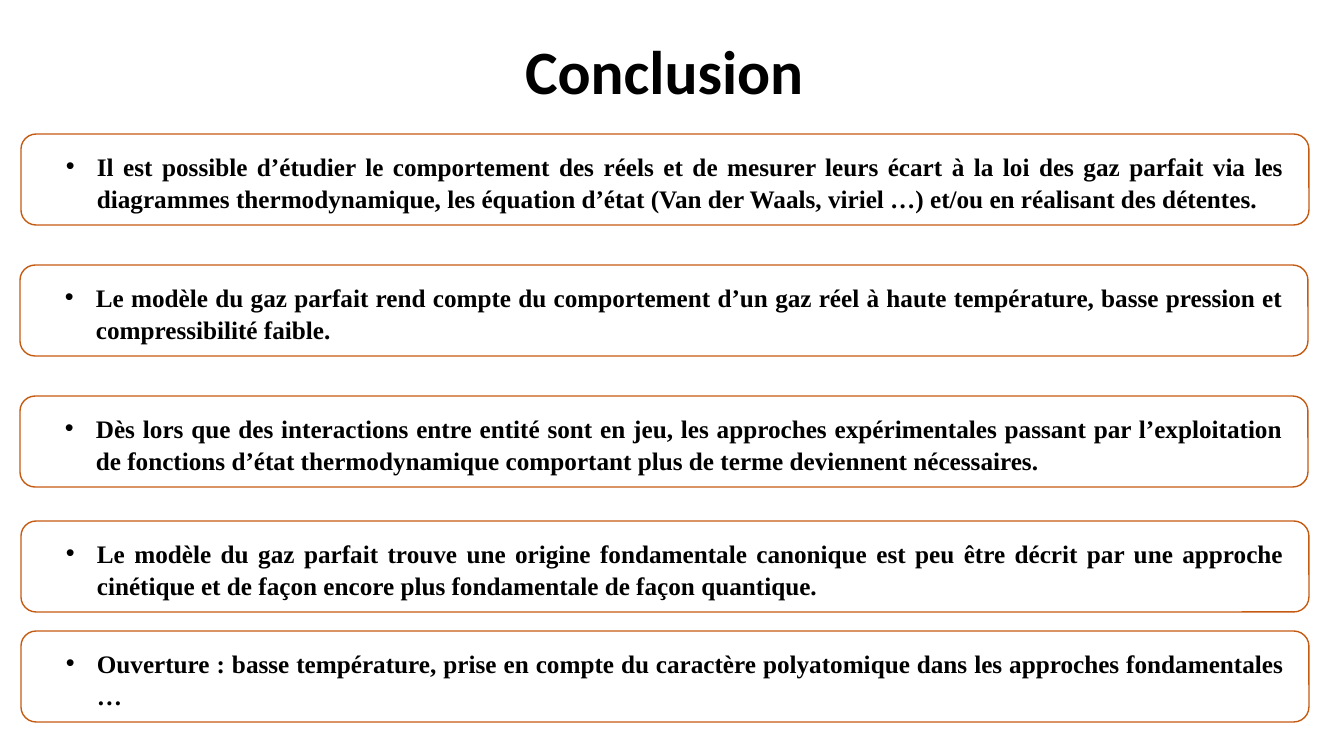
from lxml import etree
from pptx import Presentation
from pptx import util as u
from pptx.dml.color import RGBColor
from pptx.enum import shapes, text
from pptx.oxml.ns import qn

EMU_PER_PX = 914400 / 100.8
BLACK, ORANGE = "000000", "C55A11"
BULLET_INDENT = 31
CARD_WIDTH, CARD_HEIGHT = 1288, 91

# Left, top and wording of each conclusion
CONCLUSIONS = [
    (21, 134, "Il est possible d’étudier le comportement des réels et de mesurer leurs écart "
              "à la loi des gaz parfait via les diagrammes thermodynamique, les équation d’état "
              "(Van der Waals, viriel …) et/ou en réalisant des détentes."),
    (20, 265, "Le modèle du gaz parfait rend compte du comportement d’un gaz réel à haute "
              "température, basse pression et compressibilité faible."),
    (20, 396, "Dès lors que des interactions entre entité sont en jeu, les approches "
              "expérimentales passant par l’exploitation de fonctions d’état thermodynamique "
              "comportant plus de terme deviennent nécessaires."),
    (21, 521, "Le modèle du gaz parfait trouve une origine fondamentale canonique est peu être "
              "décrit par une approche cinétique et de façon encore plus fondamentale de façon "
              "quantique."),
    (21, 631, "Ouverture : basse température, prise en compte du caractère polyatomique dans "
              "les approches fondamentales …"),
]


def px(length):
    return u.Emu(round(length * EMU_PER_PX))


def colour(value):
    return RGBColor.from_string(value)


def set_all(target, values):
    for name, value in values.items():
        setattr(target, name, value)


def format_paragraph(paragraph, layout, font):
    set_all(paragraph, layout)
    set_all(paragraph.font, font)
    paragraph.font.color.rgb = colour(BLACK)


def add_bullet(paragraph):
    properties = paragraph._p.get_or_add_pPr()
    properties.set("marL", str(px(BULLET_INDENT)))
    properties.set("indent", str(-px(BULLET_INDENT)))
    etree.SubElement(properties, qn("a:buFont")).set("typeface", "Arial")
    etree.SubElement(properties, qn("a:buChar")).set("char", "•")


def place_title(slide, left, top, width, height):
    title = slide.shapes.title
    set_all(title, {"left": px(left), "top": px(top),
                    "width": px(width), "height": px(height)})
    title.text_frame.text = "Conclusion"
    set_all(title.text_frame, {"vertical_anchor": text.MSO_ANCHOR.MIDDLE, "word_wrap": True})
    format_paragraph(title.text_frame.paragraphs[0],
                     {"alignment": text.PP_ALIGN.CENTER, "line_spacing": 0.9},
                     {"name": "Calibri", "size": u.Pt(44), "bold": True})


def add_card(slide, left, top, width, height, wording):
    group = slide.shapes.add_group_shape()

    # Rounded outline
    frame = group.shapes.add_shape(shapes.MSO_SHAPE.ROUNDED_RECTANGLE,
                                   px(left), px(top), px(width), px(height))
    frame.shadow.inherit = False
    frame.fill.background()
    frame.line.color.rgb = colour(ORANGE)
    frame.line.width = u.Pt(1)

    # Bulleted statement
    box = group.shapes.add_textbox(px(left + 35), px(top + 10),
                                   px(width - 50), px(height - 15))
    set_all(box.text_frame, {"word_wrap": True,
                             "auto_size": text.MSO_AUTO_SIZE.SHAPE_TO_FIT_TEXT})
    paragraph = box.text_frame.paragraphs[0]
    paragraph.text = wording
    add_bullet(paragraph)
    format_paragraph(paragraph,
                     {"alignment": text.PP_ALIGN.JUSTIFY, "line_spacing": 1.07,
                      "space_after": u.Pt(8)},
                     {"name": "Times New Roman", "size": u.Pt(18), "bold": True})


def main():
    presentation = Presentation()
    set_all(presentation, {"slide_width": px(1344), "slide_height": px(756)})
    slide = presentation.slides.add_slide(presentation.slide_layouts[5])
    place_title(slide, 56, 32, 1217, 85)
    for left, top, wording in CONCLUSIONS:
        add_card(slide, left, top, CARD_WIDTH, CARD_HEIGHT, wording)
    presentation.save("out.pptx")


if __name__ == "__main__":
    main()
